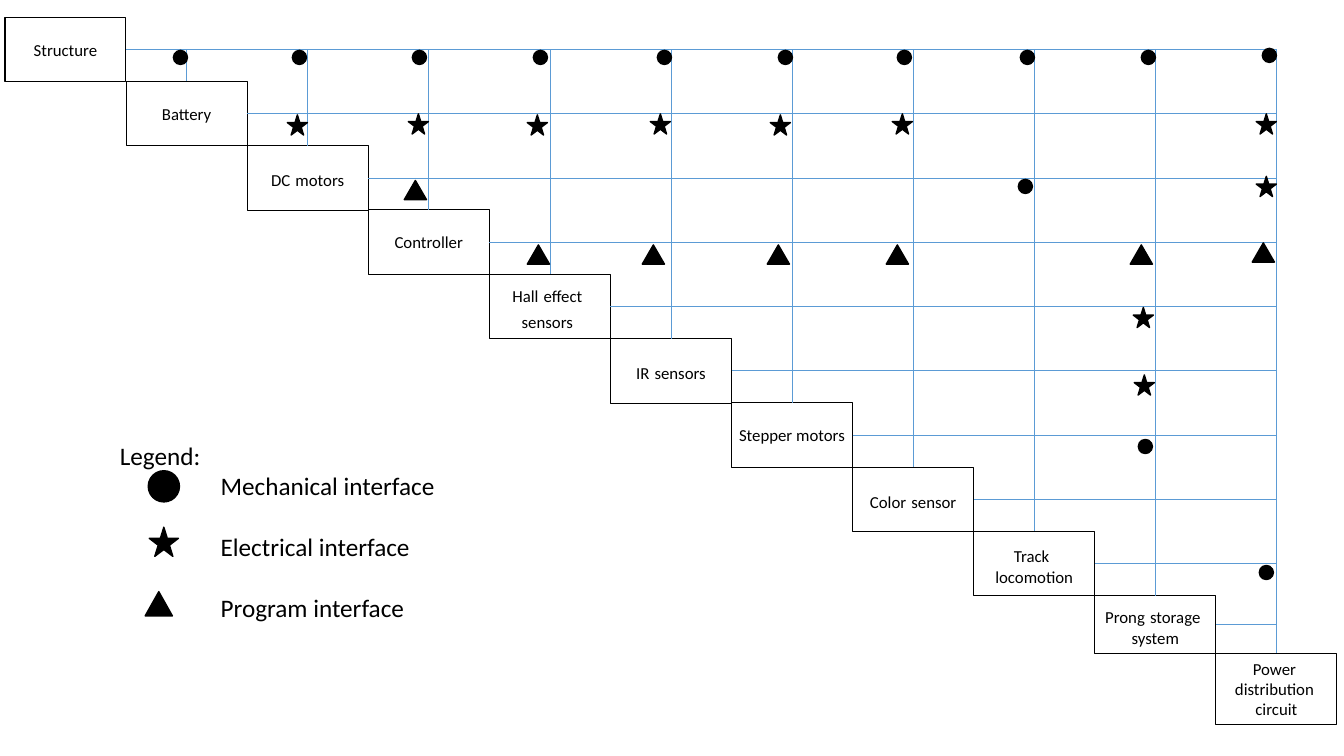
"""Build a slide with the interface matrix of a robot's subsystems."""
from itertools import groupby
from typing import NamedTuple

from lxml.etree import SubElement
from pptx import Presentation
from pptx.dml.color import RGBColor
from pptx.enum.shapes import MSO_CONNECTOR, MSO_SHAPE
from pptx.enum.text import MSO_ANCHOR, PP_ALIGN
from pptx.oxml.ns import qn
from pptx.util import Inches, Pt

BLACK = RGBColor(0x00, 0x00, 0x00)
GRID_BLUE = RGBColor(0x5B, 0x9B, 0xD5)
FONT = "Calibri"

FIRST_LEFT, FIRST_TOP = 0.05, 0.17
BOX_WIDTH, BOX_HEIGHT = 1.2, 0.64
COLUMN_STEP = (12.06 - FIRST_LEFT) / 10
ROW_STEP = (5.91 - FIRST_TOP) / 9
GRID_TOP, GRID_RIGHT = 0.49, 12.66


class Component(NamedTuple):
    lines: tuple[str, ...]
    height: float = BOX_HEIGHT
    space_size: int = 12


class Marker(NamedTuple):
    shape_type: MSO_SHAPE
    width: float
    height: float


class MarkerRow(NamedTuple):
    marker: Marker
    top: float
    lefts: tuple[float, ...]


class LegendLine(NamedTuple):
    text: str
    indent: float = 1
    space_before: int = 0


COMPONENTS = (
    Component(("Structure",)),
    Component(("Battery",)),
    Component(("DC motors",), space_size=16),
    Component(("Controller",)),
    Component(("Hall effect ", "sensors "), space_size=16),
    Component(("IR sensors",), space_size=16),
    Component(("Stepper motors",)),
    Component(("Color sensor",), space_size=16),
    Component(("Track ", "locomotion"), space_size=16),
    Component(("Prong storage ", "system"), 0.57, 16),
    Component(("Power ", "distribution ", "circuit"), 0.71),
)

MECHANICAL = Marker(MSO_SHAPE.OVAL, 0.14, 0.14)
ELECTRICAL = Marker(MSO_SHAPE.STAR_5_POINT, 0.2, 0.2)
PROGRAM = Marker(MSO_SHAPE.ISOSCELES_TRIANGLE, 0.22, 0.19)

MARKER_ROWS = (
    MarkerRow(MECHANICAL, 0.5, (1.72, 2.9, 4.09, 5.29, 6.52, 7.72, 8.9, 10.12, 11.32)),
    MarkerRow(MECHANICAL, 0.48, (12.52,)),
    MarkerRow(ELECTRICAL, 1.14, (2.85, 5.23, 7.64)),
    MarkerRow(ELECTRICAL, 1.13, (4.05, 6.45, 8.85, 12.46)),
    MarkerRow(PROGRAM, 1.79, (4.01,)),
    MarkerRow(MECHANICAL, 1.78, (10.1,)),
    MarkerRow(ELECTRICAL, 1.75, (12.46,)),
    MarkerRow(PROGRAM, 2.43, (5.23, 6.37, 7.61, 8.79, 11.21)),
    MarkerRow(PROGRAM, 2.41, (12.42,)),
    MarkerRow(ELECTRICAL, 3.05, (11.24,)),
    MarkerRow(ELECTRICAL, 3.72, (11.25,)),
    MarkerRow(MECHANICAL, 4.36, (11.29,)),
    MarkerRow(MECHANICAL, 5.61, (12.49,)),
    MarkerRow(Marker(MSO_SHAPE.OVAL, 0.31, 0.31), 4.67, (1.47,)),
    MarkerRow(Marker(MSO_SHAPE.STAR_5_POINT, 0.29, 0.29), 5.23, (1.48,)),
    MarkerRow(Marker(MSO_SHAPE.ISOSCELES_TRIANGLE, 0.27, 0.24), 5.87, (1.44,)),
)

LEGEND = (
    LegendLine("Legend:", indent=0),
    LegendLine("Mechanical interface"),
    LegendLine("Electrical interface", space_before=22),
    LegendLine("Program interface", space_before=22),
)


def style_font(font, size: int) -> None:
    font.name = FONT
    font.color.rgb = BLACK
    font.size = Pt(size)


def box_left(index: int) -> float:
    return FIRST_LEFT + COLUMN_STEP * index


def box_top(index: int) -> float:
    if index == len(COMPONENTS) - 1:
        return box_top(index - 1) + COMPONENTS[index - 1].height
    return FIRST_TOP + ROW_STEP * index


def add_component(slide, index: int, component: Component) -> None:
    shape = slide.shapes.add_shape(
        MSO_SHAPE.RECTANGLE, Inches(box_left(index)), Inches(box_top(index)),
        Inches(BOX_WIDTH), Inches(component.height))
    shape.shadow.inherit = False
    shape.fill.background()
    shape.line.color.rgb = BLACK
    shape.line.width = Pt(0.75)
    frame = shape.text_frame
    frame.word_wrap = False
    frame.vertical_anchor = MSO_ANCHOR.MIDDLE
    for number, line in enumerate(component.lines):
        paragraph = frame.add_paragraph() if number else frame.paragraphs[0]
        paragraph.alignment = PP_ALIGN.CENTER
        style_font(paragraph.font, 12)
        if component.space_size == 12:
            paragraph.text = line
            continue
        for is_space, characters in groupby(line, key=str.isspace):
            run = paragraph.add_run()
            run.text = "".join(characters)
            run.font.size = Pt(component.space_size if is_space else 12)


def add_grid_line(slide, left: float, top: float, right: float, bottom: float) -> None:
    connector = slide.shapes.add_connector(
        MSO_CONNECTOR.STRAIGHT, Inches(left), Inches(top), Inches(right), Inches(bottom))
    connector.line.color.rgb = GRID_BLUE
    connector.line.width = Pt(0.5)
    SubElement(connector.element.spPr, qn("a:effectLst"))


def add_marker(slide, marker: Marker, left: float, top: float) -> None:
    shape = slide.shapes.add_shape(
        marker.shape_type, Inches(left), Inches(top),
        Inches(marker.width), Inches(marker.height))
    shape.shadow.inherit = False
    shape.fill.solid()
    shape.fill.fore_color.rgb = BLACK
    shape.line.color.rgb = BLACK
    shape.line.width = Pt(1)


def add_legend(slide) -> None:
    text_box = slide.shapes.add_textbox(Inches(1.09), Inches(4.32), Inches(3.36), Inches(2.22))
    frame = text_box.text_frame
    frame.word_wrap = True
    for number, line in enumerate(LEGEND):
        paragraph = frame.add_paragraph() if number else frame.paragraphs[0]
        paragraph.text = line.text
        paragraph.space_before = Pt(line.space_before)
        style_font(paragraph.font, 18)
        properties = paragraph._p.get_or_add_pPr()
        properties.set("marL", str(Inches(line.indent)))
        properties.set("indent", "0")


def main() -> None:
    presentation = Presentation()
    presentation.slide_width = Inches(13.33)
    presentation.slide_height = Inches(7.5)
    slide = presentation.slides.add_slide(presentation.slide_layouts[6])

    for index, component in enumerate(COMPONENTS):
        add_component(slide, index, component)
    for index in range(1, len(COMPONENTS)):
        column_center = box_left(index) + BOX_WIDTH / 2
        add_grid_line(slide, column_center, GRID_TOP, column_center, box_top(index))
        previous = index - 1
        row_center = box_top(previous) + COMPONENTS[previous].height / 2
        add_grid_line(slide, box_left(index), row_center, GRID_RIGHT, row_center)
    add_legend(slide)
    for row in MARKER_ROWS:
        for left in row.lefts:
            add_marker(slide, row.marker, left, row.top)

    presentation.save("out.pptx")


main()
